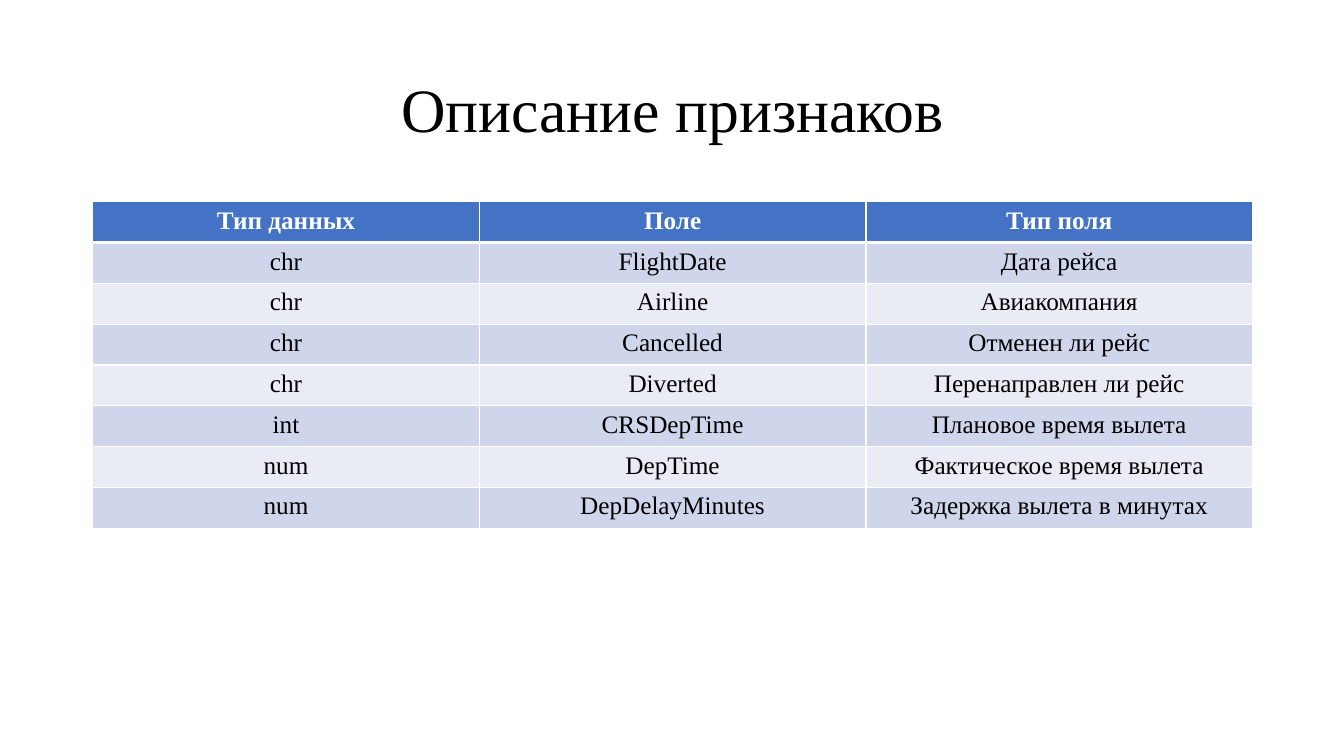
import pptx
import pptx.dml.color
import pptx.enum.text
import pptx.oxml
import pptx.oxml.ns
import pptx.util

RGBColor = pptx.dml.color.RGBColor
BLACK = RGBColor(0x00, 0x00, 0x00)
WHITE = RGBColor(0xFF, 0xFF, 0xFF)
HEADER_BLUE = RGBColor(0x44, 0x72, 0xC4)
BAND_DARK = RGBColor(0xCF, 0xD5, 0xEA)
BAND_LIGHT = RGBColor(0xE9, 0xEB, 0xF5)

FONT = "Times New Roman"
SLIDE_WIDTH = pptx.util.Inches(13.33)
SLIDE_HEIGHT = pptx.util.Inches(7.5)
TITLE_BOX = (0.069, 0.053, 0.863, 0.193)
TABLE_BOX = (0.069, 0.267, 0.863, 0.432)

FIELDS = [
    ("Тип данных", "Поле", "Тип поля"),
    ("chr", "FlightDate", "Дата рейса"),
    ("chr", "Airline", "Авиакомпания"),
    ("chr", "Cancelled", "Отменен ли рейс"),
    ("chr", "Diverted", "Перенаправлен ли рейс"),
    ("int", "CRSDepTime", "Плановое время вылета"),
    ("num", "DepTime", "Фактическое время вылета"),
    ("num", "DepDelayMinutes", "Задержка вылета в минутах"),
]


def place(box):
    left, top, width, height = box
    return (
        round(left * SLIDE_WIDTH),
        round(top * SLIDE_HEIGHT),
        round(width * SLIDE_WIDTH),
        round(height * SLIDE_HEIGHT),
    )


def write_text(text_frame, text, size=18, color=BLACK, bold=False, line_spacing=1.0):
    paragraph = text_frame.paragraphs[0]
    paragraph.alignment = pptx.enum.text.PP_ALIGN.CENTER
    paragraph.line_spacing = line_spacing
    run = paragraph.add_run()
    run.text = text
    run.font.name = FONT
    run.font.size = pptx.util.Pt(size)
    run.font.bold = bold
    run.font.color.rgb = color


def set_borders(cell, **widths):
    properties = cell._tc.get_or_add_tcPr()
    for side, width in widths.items():
        properties.append(pptx.oxml.parse_xml(
            f'<a:ln{side} {pptx.oxml.ns.nsdecls("a")} w="{pptx.util.Pt(width)}">'
            f'<a:solidFill><a:srgbClr val="{WHITE}"/></a:solidFill></a:ln{side}>'
        ))


def add_title(slide, box, text):
    title = slide.shapes.title
    title.left, title.top, title.width, title.height = place(box)
    title.text_frame.vertical_anchor = pptx.enum.text.MSO_ANCHOR.MIDDLE
    write_text(title.text_frame, text, size=44, line_spacing=0.9)


def add_field_table(slide, box, rows):
    left, top, width, height = place(box)
    column_count = len(rows[0])
    table = slide.shapes.add_table(
        len(rows), column_count, left, top, width, height
    ).table
    for column in table.columns:
        column.width = width // column_count
    for row_index, row in enumerate(rows):
        is_header = row_index == 0
        band = BAND_DARK if row_index % 2 else BAND_LIGHT
        for column_index, text in enumerate(row):
            cell = table.cell(row_index, column_index)
            set_borders(
                cell, L=1, R=1,
                T=3 if row_index == 1 else 1,
                B=3 if is_header else 1,
            )
            cell.fill.solid()
            cell.fill.fore_color.rgb = HEADER_BLUE if is_header else band
            write_text(
                cell.text_frame, text,
                color=WHITE if is_header else BLACK, bold=is_header,
            )


def main():
    presentation = pptx.Presentation()
    presentation.slide_width = SLIDE_WIDTH
    presentation.slide_height = SLIDE_HEIGHT
    slide = presentation.slides.add_slide(presentation.slide_layouts[5])
    add_title(slide, TITLE_BOX, "Описание признаков")
    add_field_table(slide, TABLE_BOX, FIELDS)
    presentation.save("out.pptx")


if __name__ == "__main__":
    main()
